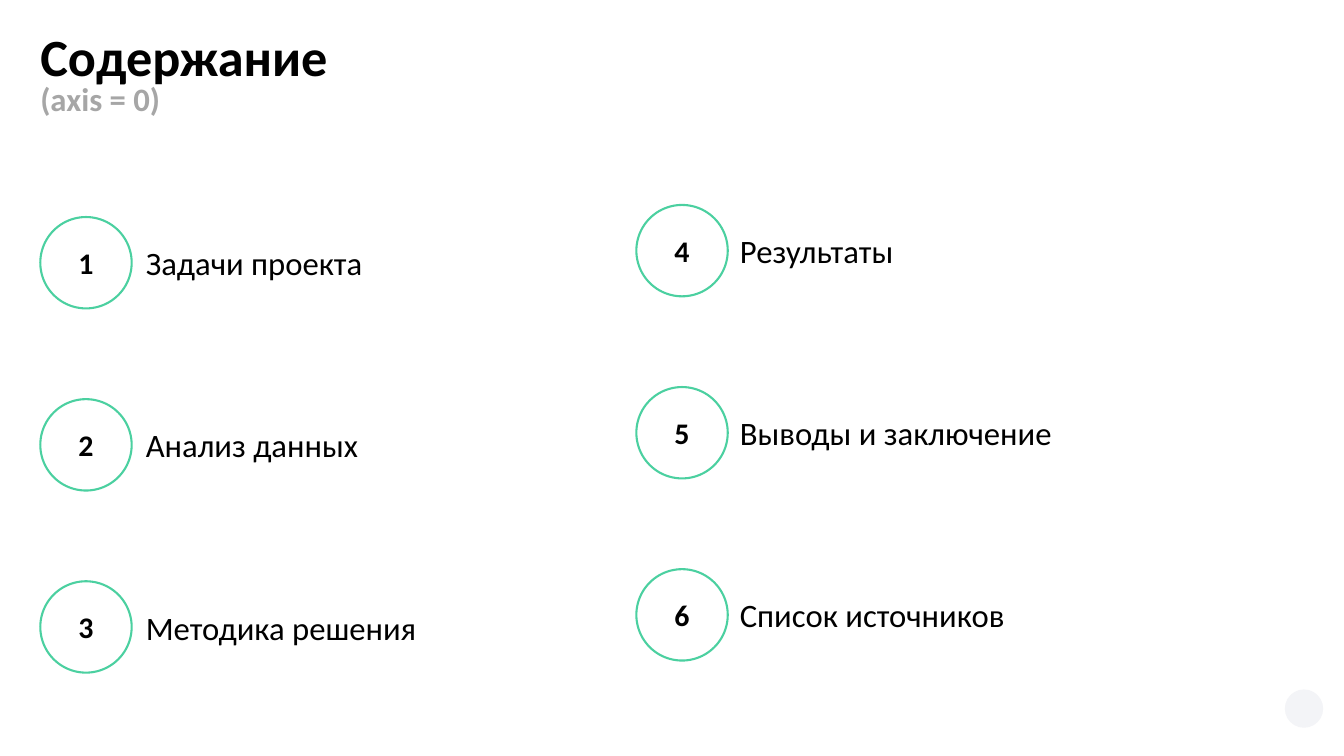
from pptx import Presentation
from pptx.dml.color import RGBColor
from pptx.enum.shapes import MSO_SHAPE
from pptx.enum.text import MSO_ANCHOR, MSO_AUTO_SIZE, PP_ALIGN
from pptx.util import Inches, Pt

TITLE = "Содержание"
NOTE = "(axis = 0)"
COLUMNS = [
    {"left": 0.6, "top": 3.23, "gap": 0.21, "items": [
        ("Задачи проекта", 3.9), ("Анализ данных", 3.63), ("Методика решения", 4.82)]},
    {"left": 9.47, "top": 3.05, "gap": 0.18, "items": [
        ("Результаты", 3.14), ("Выводы и заключение", 5.65), ("Список источников", 4.46)]},
]
THEME = {
    "font": "Calibri", "ink": "000000", "muted": "A6A6A6",
    "ring": "4BD0A0", "mark": "F3F4F7",
    "title": 56, "label": 35, "number": 32, "line": 2.25,
}
SIZE = 1.36
STEP = 2.71


def color(name):
    return RGBColor.from_string(THEME[name])


def style(para, size, ink="ink", bold=False):
    for run in para.runs:
        font = run.font
        font.name = THEME["font"]
        font.size = Pt(THEME[size])
        font.bold = bold
        font.color.rgb = color(ink)


def inset(frame, margin, anchor):
    frame.margin_left = frame.margin_right = Inches(margin)
    frame.margin_top = frame.margin_bottom = Inches(margin)
    frame.vertical_anchor = anchor
    frame.word_wrap = True


def oval(slide, left, top, size):
    shape = slide.shapes.add_shape(
        MSO_SHAPE.OVAL, Inches(left), Inches(top), Inches(size), Inches(size))
    shape.shadow.inherit = False
    return shape


def heading(slide):
    title = slide.shapes.title
    title.left, title.top = Inches(0.6), Inches(0.54)
    title.width, title.height = Inches(15.63), Inches(1.62)
    frame = title.text_frame
    frame.auto_size = MSO_AUTO_SIZE.NONE
    inset(frame, 0, MSO_ANCHOR.TOP)
    frame.text = f"{TITLE}\n{NOTE}"
    for para, size, ink in zip(frame.paragraphs, ("title", "label"), ("ink", "muted")):
        para.alignment = PP_ALIGN.LEFT
        para.line_spacing = 0.8
        style(para, size, ink, True)


def entry(slide, number, text, left, top, gap, width):
    ring = oval(slide, left, top, SIZE)
    ring.fill.background()
    ring.line.color.rgb = color("ring")
    ring.line.width = Pt(THEME["line"])
    inset(ring.text_frame, 0.1, MSO_ANCHOR.MIDDLE)
    ring.text_frame.text = str(number)
    para = ring.text_frame.paragraphs[0]
    para.alignment = PP_ALIGN.CENTER
    style(para, "number", bold=True)

    label = slide.shapes.add_textbox(
        Inches(left + SIZE + gap), Inches(top), Inches(width), Inches(SIZE))
    inset(label.text_frame, 0, MSO_ANCHOR.MIDDLE)
    label.text_frame.text = text
    style(label.text_frame.paragraphs[0], "label")


def main():
    deck = Presentation()
    deck.slide_width, deck.slide_height = Inches(20), Inches(11.25)
    slide = deck.slides.add_slide(deck.slide_layouts[5])

    mark = oval(slide, 19.12, 10.26, 0.57)
    mark.fill.solid()
    mark.fill.fore_color.rgb = color("mark")
    mark.line.fill.background()

    heading(slide)
    number = 1
    for col in COLUMNS:
        for row, (text, width) in enumerate(col["items"]):
            entry(slide, number, text, col["left"], col["top"] + row * STEP,
                  col["gap"], width)
            number += 1
    deck.save("out.pptx")


if __name__ == "__main__":
    main()
